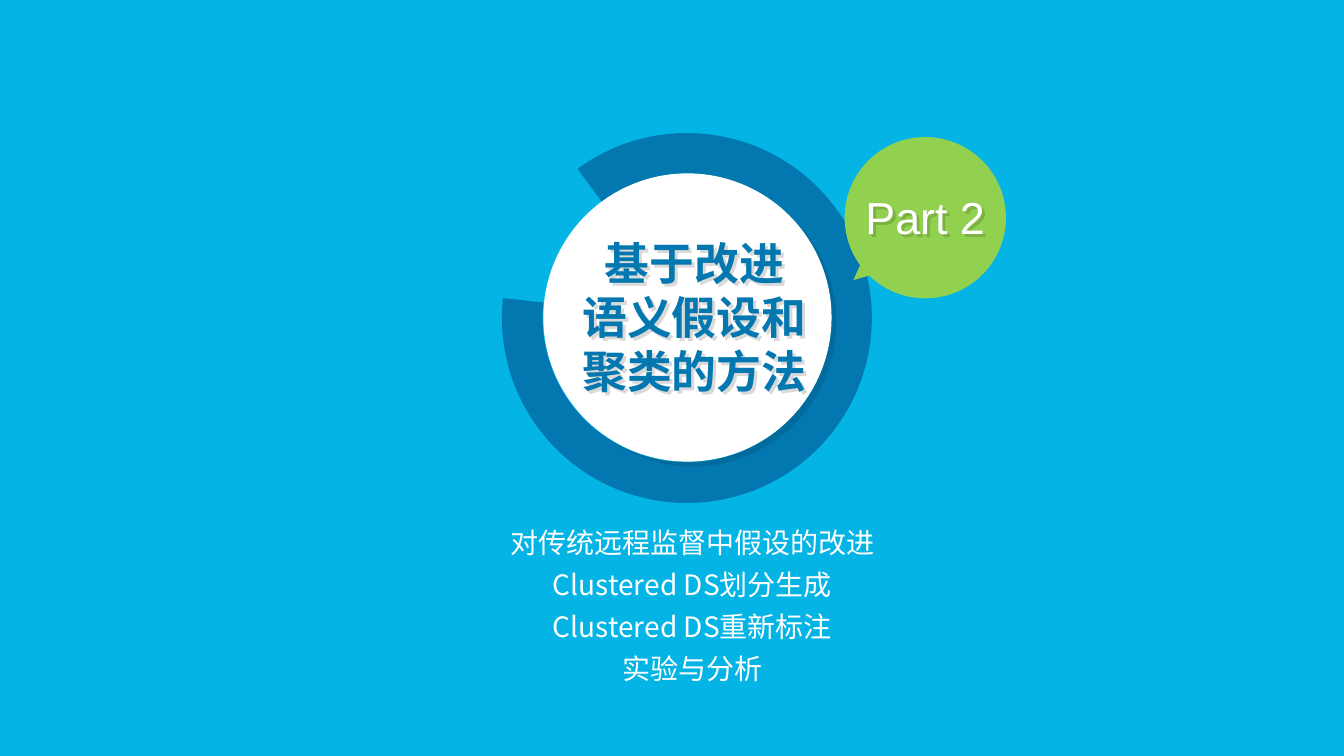
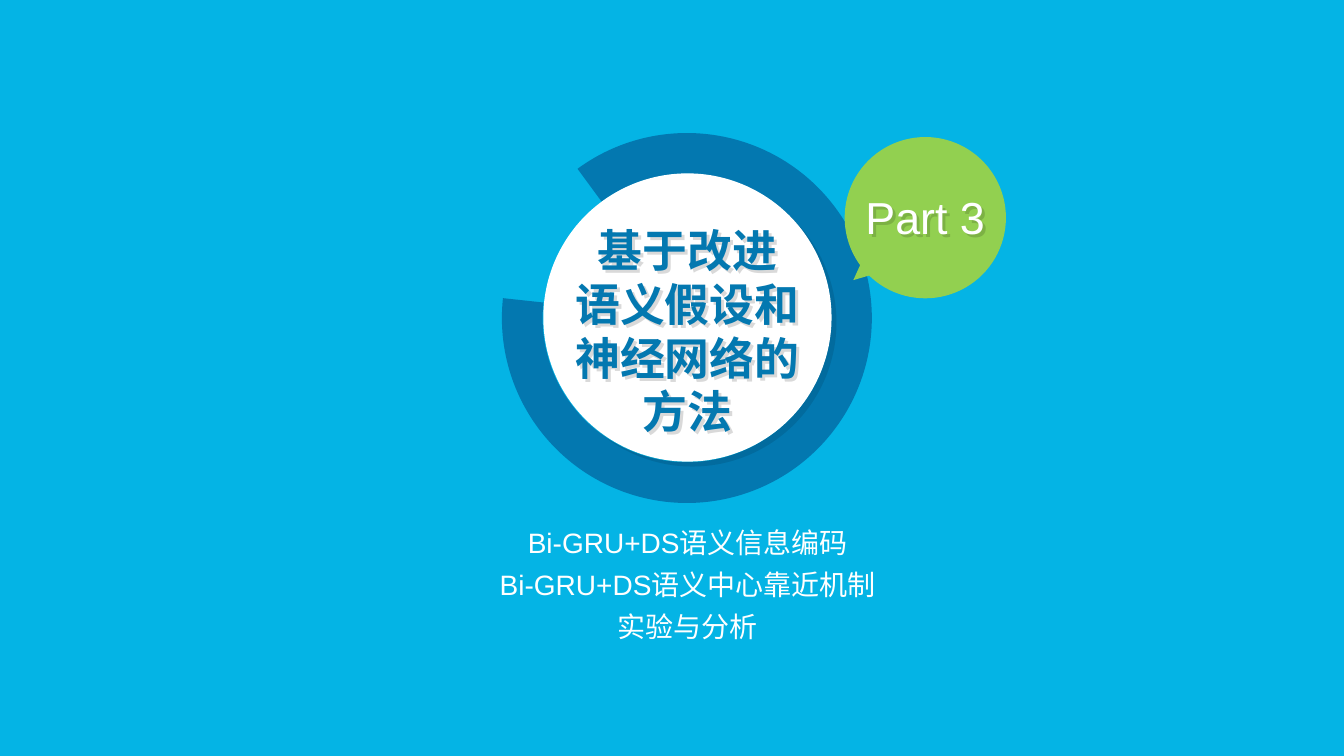
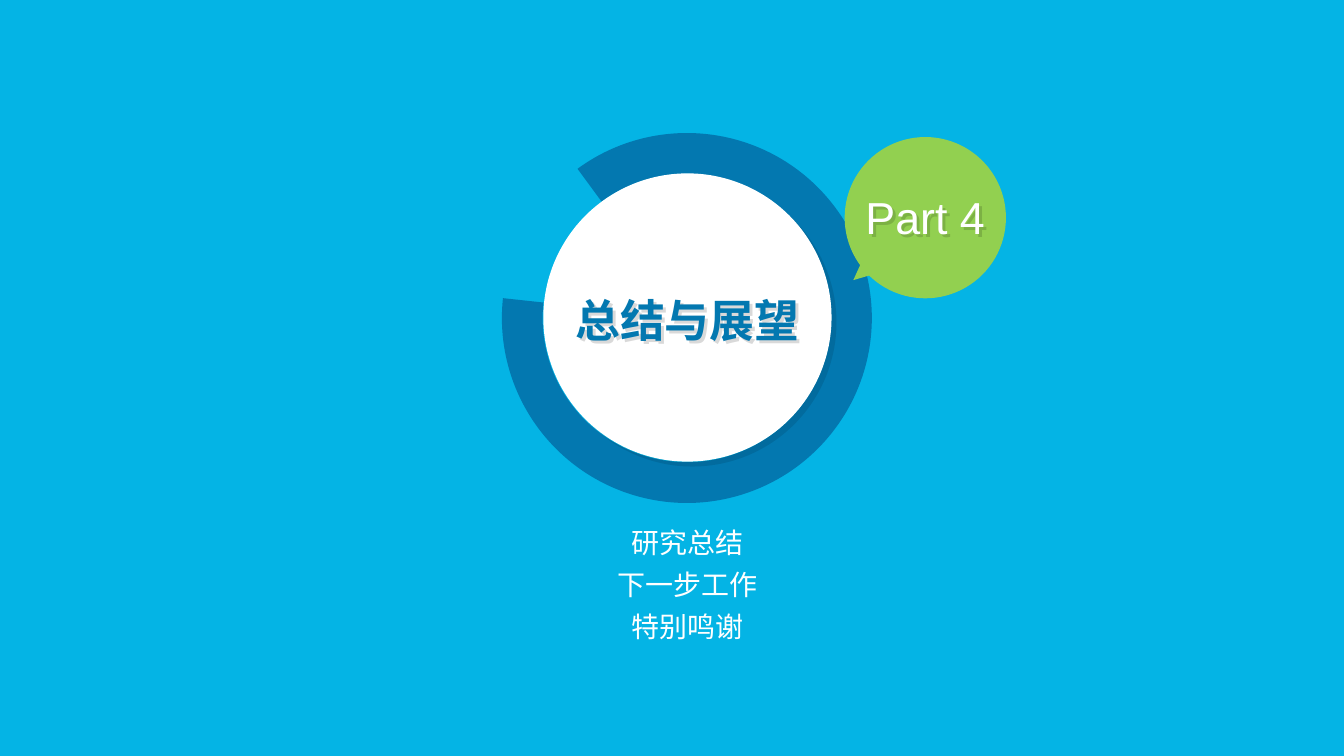
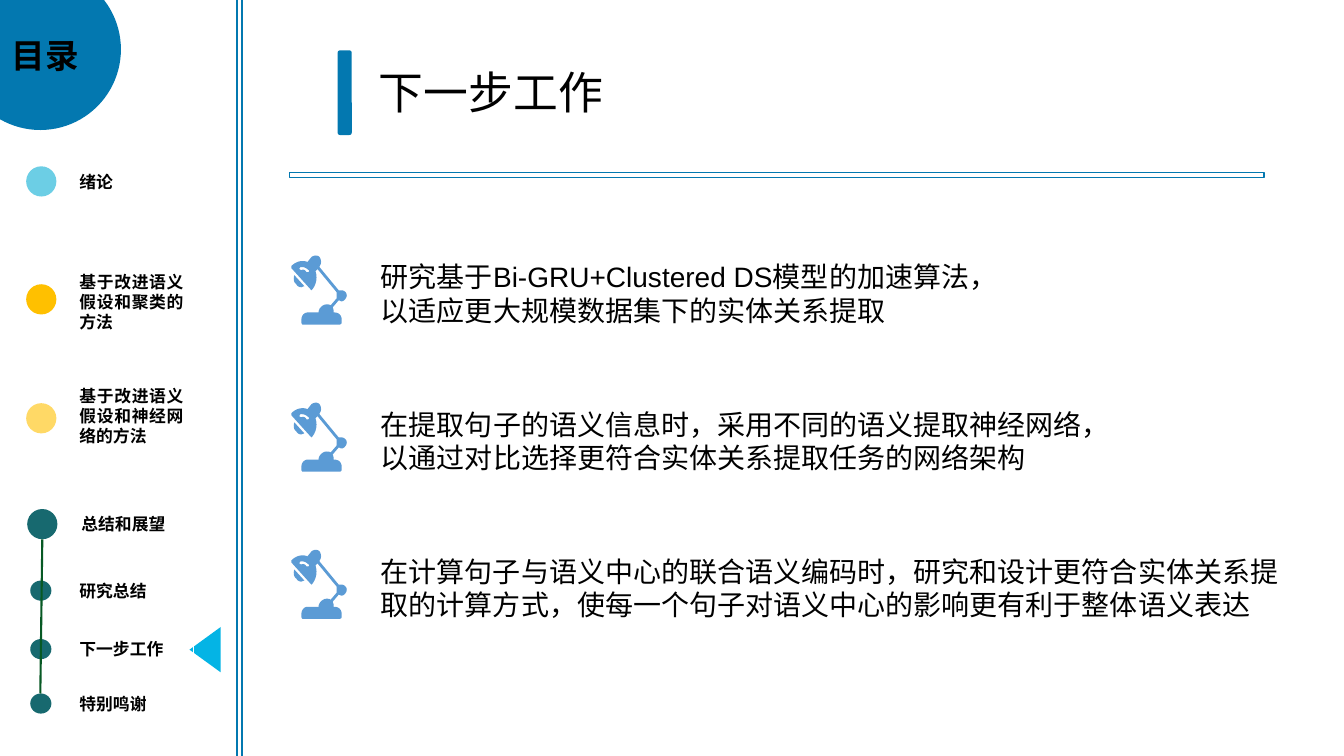
import math

from lxml import etree
from pptx import Presentation
from pptx import util as u
from pptx.dml.color import RGBColor
from pptx.enum import shapes, text
from pptx.oxml.ns import qn

PX = 9144
LATIN, HAN = "Arial", "Noto Sans CJK SC"
COLOURS = {
    "sky": "04B4E5", "blue": "0378B0", "green": "92D050", "white": "FFFFFF",
    "black": "000000", "aqua": "6CCEE5", "amber": "FFC000", "sand": "FFD966",
    "teal": "17696F", "forest": "075924", "lamp": "5B9BD5",
}
KIND = shapes.MSO_SHAPE
ALIGN = text.PP_ALIGN
ANCHOR = text.MSO_ANCHOR

SECTIONS = [
    {"part": "Part 2", "title": ["基于改进", "语义假设和", "聚类的方法"],
     "title_box": (560, 229, 258, 172), "topics_box": (482, 516, 410, 167), "latin": HAN,
     "topics": ["对传统远程监督中假设的改进", "Clustered DS划分生成",
                "Clustered DS重新标注", "实验与分析"]},
    {"part": "Part 3", "title": ["基于改进", "语义假设和神经网络的方法"],
     "title_box": (553, 216, 258, 226), "topics_box": (461, 516, 443, 125), "latin": LATIN,
     "topics": ["Bi-GRU+DS语义信息编码", "Bi-GRU+DS语义中心靠近机制", "实验与分析"]},
    {"part": "Part 4", "title": ["总结与展望"],
     "title_box": (553, 285, 258, 64), "topics_box": (461, 516, 443, 125), "latin": LATIN,
     "topics": ["研究总结", "下一步工作", "特别鸣谢"]},
]

CONTENTS = [
    ("绪论", (26, 165, 30, 30), "aqua", (69, 165, 123, 30)),
    ("基于改进语义假设和聚类的方法", (26, 282, 30, 30), "amber", (69, 264, 123, 71)),
    ("基于改进语义假设和神经网络的方法", (26, 400, 30, 30), "sand", (69, 377, 123, 71)),
    ("总结和展望", (27, 505, 30, 30), "teal", (71, 505, 123, 30)),
    ("研究总结", (30, 576, 21, 20), "teal", (69, 571, 123, 30)),
    ("下一步工作", (30, 634, 21, 20), "teal", (69, 629, 123, 30)),
    ("特别鸣谢", (30, 688, 21, 20), "teal", (69, 683, 123, 30)),
]

PLAN_TITLE = "下一步工作"
PLANS = [
    (685, ["研究基于Bi-GRU+Clustered DS模型的加速算法，",
           "以适应更大规模数据集下的实体关系提取"]),
    (738, ["在提取句子的语义信息时，采用不同的语义提取神经网络，"
           "以通过对比选择更符合实体关系提取任务的网络架构"]),
    (920, ["在计算句子与语义中心的联合语义编码时，研究和设计更符合实体关系提取的计算方式，"
           "使每一个句子对语义中心的影响更有利于整体语义表达"]),
]
PLAN_TOP, PLAN_STEP = 253, 146

LAMP_BODY = [
    (50, 46), (52, 46, 55, 43, 55, 40), (55, 37, 52, 35, 50, 35), (47, 35),
    (28, 12), (28, 11), (30, 9, 30, 5, 28, 2), (26, 0, 23, 0, 20, 2), (16, 7),
    (14, 6, 12, 6, 11, 6), (7, 6, 3, 8, 0, 11), (0, 13), (19, 34), (20, 35),
    (21, 34), (25, 29, 26, 22, 24, 16), (26, 14), (45, 37), (45, 43), (39, 50),
    (38, 49, 36, 49, 35, 49), (31, 49, 27, 53, 27, 57), (16, 57),
    (13, 57, 10, 60, 10, 64), (10, 67), (10, 68, 11, 69, 11, 69), (48, 69),
    (49, 69, 50, 68, 50, 67), (50, 64), (50, 60, 47, 57, 43, 57), (42, 57),
    (42, 55, 42, 54, 41, 52), (47, 45), (48, 45, 49, 46, 50, 46),
]
LAMP_SLOT = [
    (17, 17), (15, 17), (14, 15, 12, 14, 10, 15), (9, 15, 8, 14, 8, 14),
    (8, 13, 9, 12, 9, 12), (11, 12), (13, 12, 15, 13, 17, 15), (18, 15, 18, 16, 17, 17),
]
LAMP_BULB = [(3, 20), (2, 23, 2, 27, 5, 29), (6, 31, 8, 32, 10, 32), (10, 32, 12, 31, 13, 31)]


def colour(name):
    return RGBColor.from_string(COLOURS[name])


def emu(box):
    return [u.Emu(round(value * PX)) for value in box]


def place(shape, box):
    shape.left, shape.top, shape.width, shape.height = emu(box)


def paint(shape, fill=None, line=None, width=0.75):
    shape.shadow.inherit = False
    if fill:
        shape.fill.solid()
        shape.fill.fore_color.rgb = colour(fill)
    else:
        shape.fill.background()
    if line:
        shape.line.color.rgb = colour(line)
        shape.line.width = u.Pt(width)
    else:
        shape.line.fill.background()
    return shape


def add_shape(slide, kind, box, fill=None, line=None, width=0.75, angle=0):
    shape = slide.shapes.add_shape(kind, *emu(box))
    shape.rotation = angle
    return paint(shape, fill, line, width)


def cast_shadow(shape, distance, opacity):
    properties = shape._element.spPr
    for old in properties.findall(qn("a:effectLst")):
        properties.remove(old)
    effects = etree.SubElement(properties, qn("a:effectLst"))
    shadow = etree.SubElement(effects, qn("a:outerShdw"), blurRad="0",
                              dist=str(u.Pt(distance)), dir="2700000",
                              algn="tl", rotWithShape="0")
    black = etree.SubElement(shadow, qn("a:srgbClr"), val=COLOURS["black"])
    etree.SubElement(black, qn("a:alpha"), val=str(opacity * 1000))


def write(shape, lines, size, ink, align, bold=False, latin=LATIN, after=0,
          anchor=ANCHOR.TOP, wrap=True):
    frame = shape.text_frame
    frame.word_wrap = wrap
    frame.auto_size = text.MSO_AUTO_SIZE.NONE
    frame.vertical_anchor = anchor
    frame.margin_left = frame.margin_right = u.Inches(0.1)
    frame.margin_top = frame.margin_bottom = u.Inches(0.05)
    for index, line in enumerate(lines):
        paragraph = frame.add_paragraph() if index else frame.paragraphs[0]
        properties = paragraph._p.get_or_add_pPr()
        properties.set("marL", "0")
        properties.set("indent", "0")
        etree.SubElement(properties, qn("a:buNone"))
        paragraph.alignment = align
        paragraph.space_before = u.Pt(0)
        paragraph.space_after = u.Pt(after)
        run = paragraph.add_run()
        run.text = line
        run.font.size = u.Pt(size)
        run.font.bold = bold
        run.font.color.rgb = colour(ink)
        run.font.name = latin
        etree.SubElement(run._r.get_or_add_rPr(), qn("a:ea"), typeface=HAN)


def add_text(slide, box, *args, **options):
    shape = slide.shapes.add_textbox(*emu(box))
    write(shape, *args, **options)
    return shape


def use_placeholder(slide, shape, box, *args, **options):
    place(shape, box)
    write(shape, *args, **options)
    slide.shapes._spTree.append(shape._element)


def add_balloon(slide, left, top, angle, fill):
    size, reach, tail_width, tail_height = 160, 63.5, 57, 62
    add_shape(slide, KIND.OVAL, (left, top, size, size), fill)
    x = left + size / 2 + reach * math.sin(math.radians(angle))
    y = top + size / 2 - reach * math.cos(math.radians(angle))
    tail = (x - tail_width / 2, y - tail_height / 2, tail_width, tail_height)
    add_shape(slide, KIND.ISOSCELES_TRIANGLE, tail, fill, angle=angle)


def flatten(outline, left, top, steps=6):
    points = [outline[0]]
    for part in outline[1:]:
        if len(part) == 2:
            points.append(part)
            continue
        controls = [points[-1], part[:2], part[2:4], part[4:]]
        for step in range(1, steps + 1):
            t = step / steps
            weights = [math.comb(3, k) * t ** k * (1 - t) ** (3 - k) for k in range(4)]
            points.append(tuple(sum(w * c[axis] for w, c in zip(weights, controls))
                                for axis in (0, 1)))
    return [((left + x) * PX, (top + y) * PX) for x, y in points]


def add_lamp(slide, left, top):
    for outlines in ([LAMP_BODY, LAMP_SLOT], [LAMP_BULB]):
        first, *others = [flatten(outline, left, top) for outline in outlines]
        builder = slide.shapes.build_freeform(*first[0])
        builder.add_line_segments(first[1:])
        for points in others:
            builder.move_to(*points[0])
            builder.add_line_segments(points[1:])
        paint(builder.convert_to_shape(), "lamp")


def add_section(presentation, section):
    slide = presentation.slides.add_slide(presentation.slide_layouts[1])
    slide.background.fill.solid()
    slide.background.fill.fore_color.rgb = colour("sky")
    title, topics = slide.placeholders
    ring = add_shape(slide, KIND.BLOCK_ARC, (498, 132, 367, 367), "blue")
    for index, value in enumerate((140.26, 111.69, 0.11)):
        ring.adjustments[index] = value
    disc = add_shape(slide, KIND.OVAL, (539, 172, 286, 286), "white")
    cast_shadow(disc, 5, 10)
    use_placeholder(slide, title, section["title_box"], section["title"], 32, "blue",
                    ALIGN.CENTER, bold=True)
    cast_shadow(title, 3, 15)
    add_balloon(slide, 838, 136, 229.1, "green")
    part = add_text(slide, (848, 183, 140, 64), [section["part"]], 32, "white",
                    ALIGN.CENTER, wrap=False)
    cast_shadow(part, 3, 15)
    use_placeholder(slide, topics, section["topics_box"], section["topics"], 20, "white",
                    ALIGN.CENTER, latin=section["latin"], after=6)


def add_contents(slide):
    add_balloon(slide, -40, -31, 240.3, "blue")
    heading = add_shape(slide, KIND.RECTANGLE, (2, 30, 107, 50), line="blue")
    write(heading, ["目录"], 24, "black", ALIGN.JUSTIFY, bold=True, anchor=ANCHOR.MIDDLE)
    add_shape(slide, KIND.ISOSCELES_TRIANGLE, (181, 629, 45, 31), "sky", angle=270)
    for label, dot, fill, box in CONTENTS:
        add_shape(slide, KIND.OVAL, dot, fill)
        entry = add_shape(slide, KIND.RECTANGLE, box, line="white")
        write(entry, [label], 12, "black", ALIGN.JUSTIFY, bold=True, anchor=ANCHOR.MIDDLE)
    stem = slide.shapes.add_connector(shapes.MSO_CONNECTOR.STRAIGHT,
                                      *emu((42, 535, 40, 688)))
    stem.line.color.rgb = colour("forest")
    stem.line.width = u.Pt(1.5)
    etree.SubElement(stem._element.spPr, qn("a:effectLst"))


def add_plans(presentation):
    slide = presentation.slides.add_slide(presentation.slide_layouts[5])
    use_placeholder(slide, slide.shapes.title, (366, 59, 556, 64), [PLAN_TITLE], 32,
                    "black", ALIGN.JUSTIFY)
    add_shape(slide, KIND.ROUNDED_RECTANGLE, (335, 50, 14, 84), "blue")
    add_shape(slide, KIND.RECTANGLE, (287, 171, 967, 5), line="blue", width=1)
    add_shape(slide, KIND.RECTANGLE, (235, -7, 5, 788), line="blue", width=1)
    add_contents(slide)
    for index, (width, lines) in enumerate(PLANS):
        top = PLAN_TOP + index * PLAN_STEP
        add_lamp(slide, 289, top)
        add_text(slide, (368, top, width, 77), lines, 20, "black", ALIGN.LEFT)


def main():
    presentation = Presentation()
    presentation.slide_width, presentation.slide_height = emu((1333.33, 750))
    for section in SECTIONS:
        add_section(presentation, section)
    add_plans(presentation)
    presentation.save("out.pptx")


if __name__ == "__main__":
    main()
